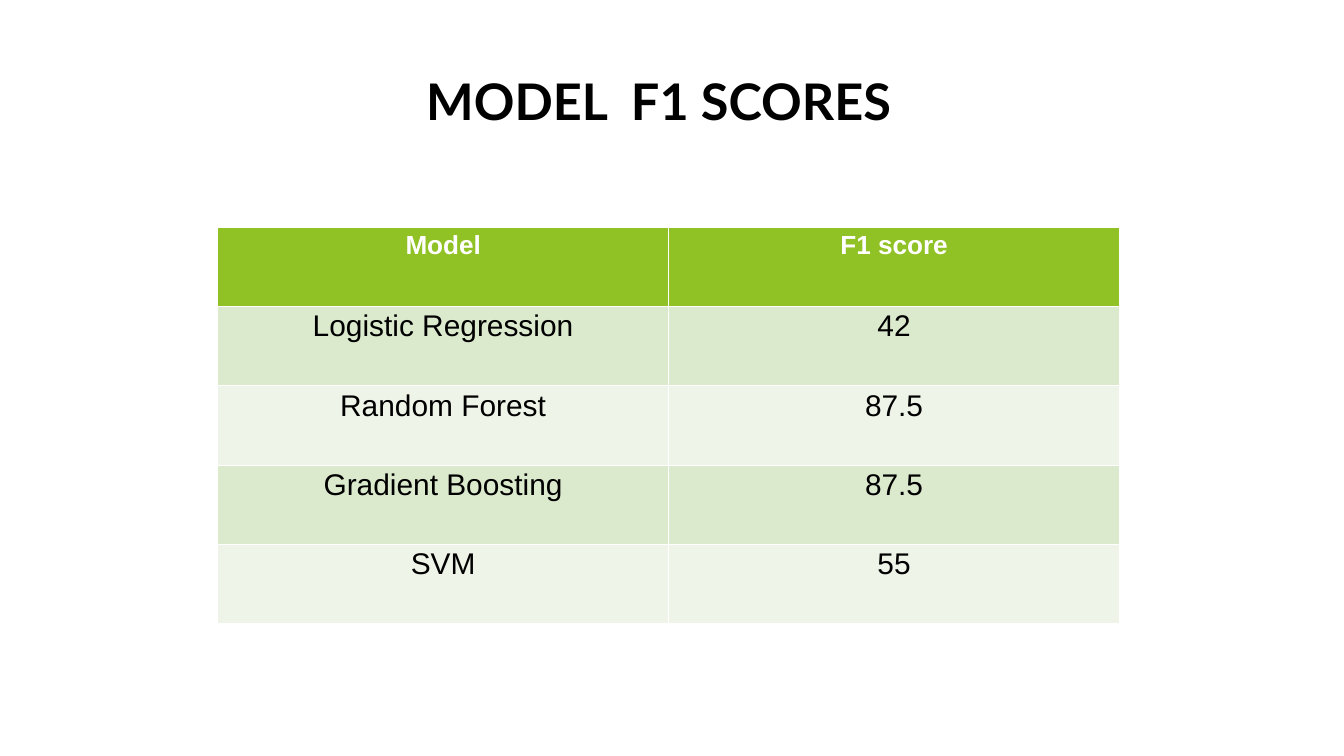
from pptx import Presentation
from pptx.dml.color import RGBColor
from pptx.enum.text import MSO_ANCHOR, MSO_AUTO_SIZE, PP_ALIGN
from pptx.util import Inches, Pt

# Content
TITLE = "MODEL  F1 SCORES"
HEADER = ("Model", "F1 score")
SCORES = [
    ("Logistic Regression", "42"),
    ("Random Forest", "87.5"),
    ("Gradient Boosting", "87.5"),
    ("SVM", "55"),
]

# Look and grid
COLORS = {
    "header": "90C226",
    "odd": "DBE9CD",
    "even": "EEF4E8",
    "light": "FFFFFF",
    "dark": "000000",
}
TITLE_BOX = (1.58, 1.04, 16.44, 0.92)
TABLE_LEFT, TABLE_TOP = 3.24, 3.38
COLUMN_WIDTH, ROW_HEIGHT = 6.71, 1.18


def style(paragraph, font_name, size, color, bold):
    paragraph.alignment = PP_ALIGN.CENTER
    font = paragraph.font
    font.name, font.size, font.bold = font_name, Pt(size), bold
    font.color.rgb = RGBColor.from_string(COLORS[color])


def add_title(slide):
    title = slide.shapes.title
    title.left, title.top, title.width, title.height = map(Inches, TITLE_BOX)
    frame = title.text_frame
    frame.text = TITLE
    frame.margin_left = frame.margin_right = frame.margin_bottom = 0
    frame.margin_top = Inches(0.01)
    frame.vertical_anchor = MSO_ANCHOR.TOP
    frame.auto_size = MSO_AUTO_SIZE.NONE
    heading = frame.paragraphs[0]
    style(heading, "Lato", 54, "dark", True)
    heading.space_before = Pt(1)


def add_scores(slide):
    rows = [HEADER, *SCORES]
    # The default table style supplies the white cell borders
    scores = slide.shapes.add_table(
        len(rows), len(HEADER), Inches(TABLE_LEFT), Inches(TABLE_TOP),
        Inches(COLUMN_WIDTH * len(HEADER)), Inches(ROW_HEIGHT * len(rows)),
    ).table
    for r, row in enumerate(rows):
        is_header = r == 0
        band = "header" if is_header else "odd" if r % 2 else "even"
        for c, text in enumerate(row):
            cell = scores.cell(r, c)
            cell.text = text
            cell.fill.solid()
            cell.fill.fore_color.rgb = RGBColor.from_string(COLORS[band])
            style(cell.text_frame.paragraphs[0], "Arial",
                  28 if is_header else 32,
                  "light" if is_header else "dark", is_header)


def main():
    deck = Presentation()
    deck.slide_width, deck.slide_height = Inches(20), Inches(11.25)
    slide = deck.slides.add_slide(deck.slide_layouts[5])  # title only
    add_title(slide)
    add_scores(slide)
    deck.save("out.pptx")


if __name__ == "__main__":
    main()
